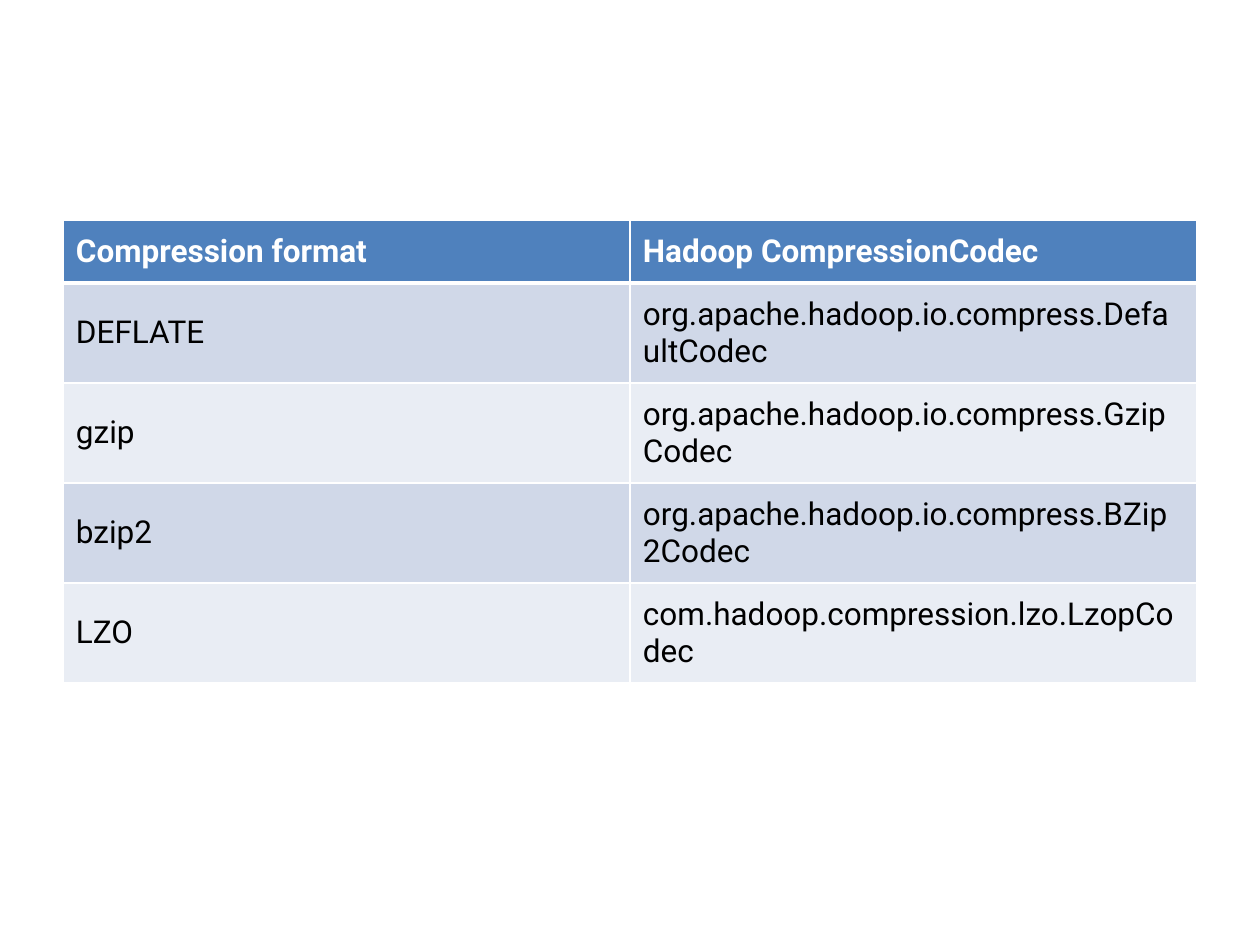
from lxml.etree import SubElement
from pptx import Presentation
from pptx.dml.color import RGBColor
from pptx.enum.text import MSO_ANCHOR as Anchor
from pptx.oxml.ns import qn
from pptx.util import Emu, Pt

PX_PER_INCH = 126
CODECS = [
    ("Compression format", "Hadoop CompressionCodec"),
    ("DEFLATE", "org.apache.hadoop.io.compress.DefaultCodec"),
    ("gzip", "org.apache.hadoop.io.compress.GzipCodec"),
    ("bzip2", "org.apache.hadoop.io.compress.BZip2Codec"),
    ("LZO", "com.hadoop.compression.lzo.LzopCodec"),
]


def px(length):
    return Emu(round(length * 914400 / PX_PER_INCH))


def rgb(value):
    return RGBColor.from_string(value)


def write(frame, text, *, font, size, color, bold=False):
    run = frame.paragraphs[0].add_run()
    run.text = text
    run.font.name = font
    run.font.size = Pt(size)
    run.font.bold = bold
    run.font.color.rgb = rgb(color)


class SlideBuilder:
    font = "Roboto"
    size = 18
    header_fill = "4F81BD"
    band_fills = ("E9EDF4", "D0D8E8")
    light, dark = "FFFFFF", "000000"
    inset = 13

    def __init__(self, slide):
        self.slide = slide

    def border(self, cell, side, width):
        properties = cell._tc.get_or_add_tcPr()
        line = SubElement(properties, qn(f"a:{side}"), w=str(Pt(width)))
        fill = SubElement(line, qn("a:solidFill"))
        SubElement(fill, qn("a:srgbClr"), val=self.light)

    def cell(self, cell, text, row):
        header = row == 0
        widths = {"lnL": 1, "lnR": 1, "lnT": 3 if row == 1 else 1,
                  "lnB": 3 if header else 1}
        for side, width in widths.items():
            self.border(cell, side, width)
        cell.fill.solid()
        cell.fill.fore_color.rgb = rgb(
            self.header_fill if header else self.band_fills[row % 2])
        cell.vertical_anchor = Anchor.MIDDLE
        cell.margin_left = cell.margin_right = px(self.inset)
        cell.margin_top = cell.margin_bottom = px(self.inset)
        write(cell.text_frame, text, font=self.font, size=self.size,
              color=self.light if header else self.dark, bold=header)

    def table(self, rows, left, top, width, row_height):
        frame = self.slide.shapes.add_table(
            len(rows), len(rows[0]), px(left), px(top),
            px(width), px(row_height * len(rows)))
        grid = frame.table
        grid.horz_banding = False
        for row, texts in enumerate(rows):
            for column, text in enumerate(texts):
                self.cell(grid.cell(row, column), text, row)


def main():
    deck = Presentation()
    deck.slide_width, deck.slide_height = px(1260), px(945)
    builder = SlideBuilder(deck.slides.add_slide(deck.slide_layouts[6]))
    builder.table(CODECS, left=63, top=220, width=1134, row_height=52)
    deck.save("out.pptx")


if __name__ == "__main__":
    main()
